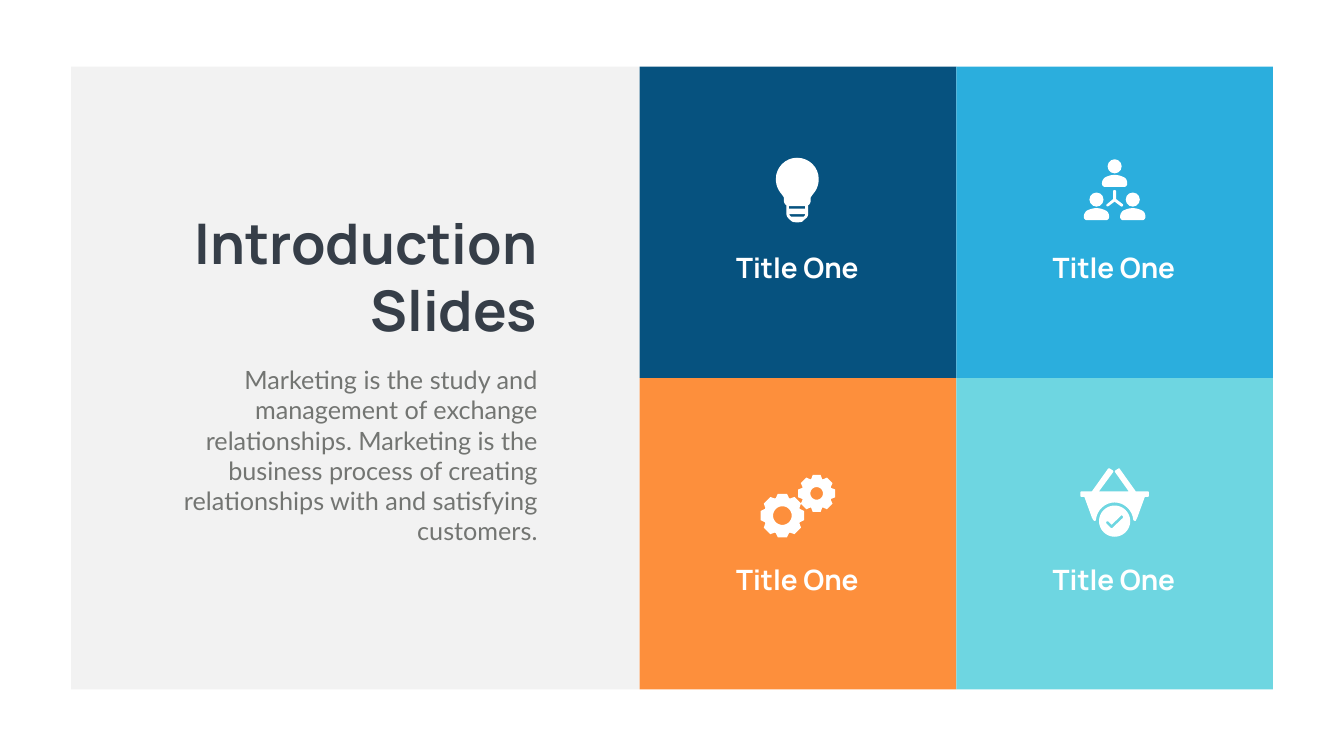
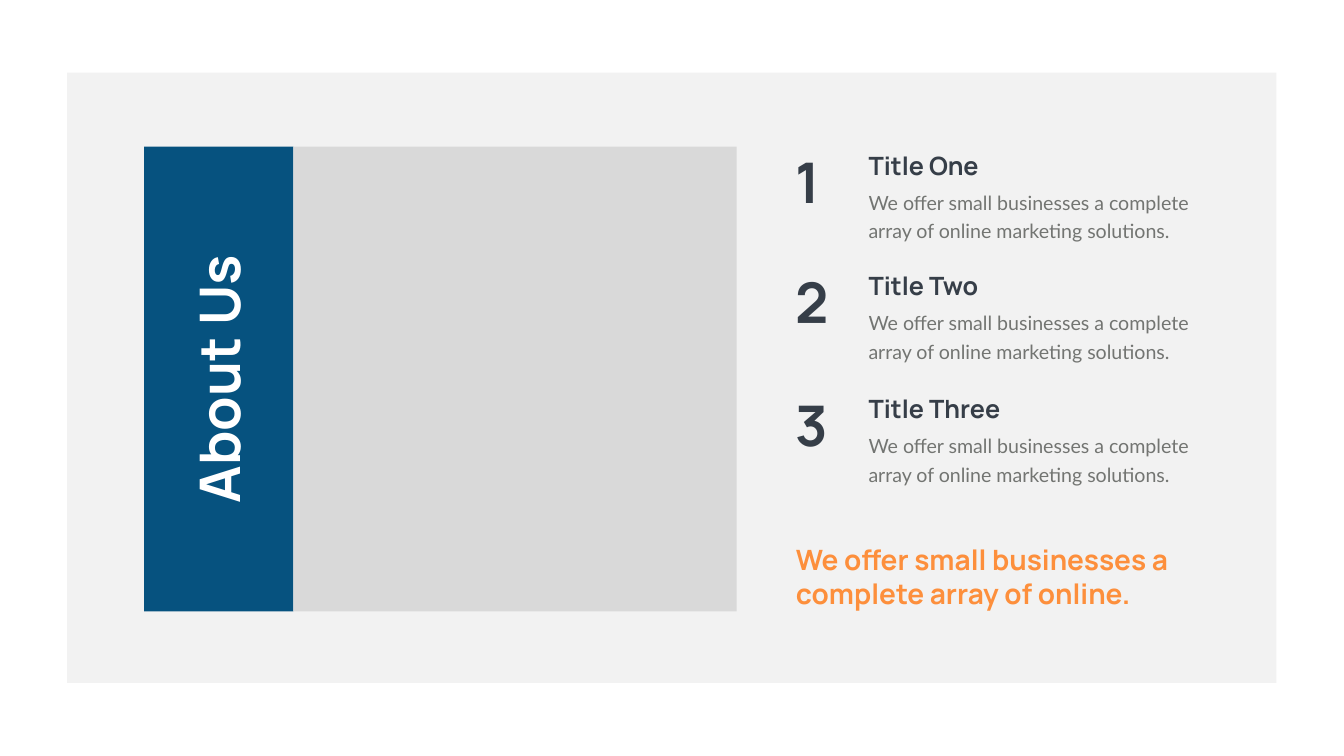
from math import cos, radians, sin

from pptx import Presentation
from pptx.dml.color import RGBColor
from pptx.enum.shapes import MSO_SHAPE
from pptx.enum.text import MSO_AUTO_SIZE, PP_ALIGN
from pptx.util import Pt

PX = 9144  # one px is a hundredth of an inch
WHITE = RGBColor(0xFF, 0xFF, 0xFF)
PALE = RGBColor(0xF2, 0xF2, 0xF2)
GREY = RGBColor(0xD9, 0xD9, 0xD9)
NAVY = RGBColor(0x06, 0x52, 0x7F)
BLUE = RGBColor(0x2B, 0xAE, 0xDD)
AQUA = RGBColor(0x6E, 0xD6, 0xE1)
ORANGE = RGBColor(0xFD, 0x8F, 0x3C)
DARK = RGBColor(0x36, 0x3E, 0x48)
MUTED = RGBColor(0x73, 0x75, 0x72)
HEAD, BODY = "Manrope", "Lato"


def box(slide, x, y, w, h, color, kind=MSO_SHAPE.RECTANGLE):
    shape = slide.shapes.add_shape(kind, x * PX, y * PX, w * PX, h * PX)
    shape.shadow.inherit = False
    shape.fill.solid()
    shape.fill.fore_color.rgb = color
    shape.line.fill.background()


def text(slide, x, y, w, h, words, size, color, font=HEAD,
         align=PP_ALIGN.LEFT, pitch=None):
    label = slide.shapes.add_textbox(x * PX, y * PX, w * PX, h * PX)
    frame = label.text_frame
    frame.word_wrap = True
    frame.auto_size = MSO_AUTO_SIZE.SHAPE_TO_FIT_TEXT
    para = frame.paragraphs[0]
    para.alignment = align
    if pitch:
        para.line_spacing = Pt(pitch)
    run = para.add_run()
    run.text = words
    run.font.name = font
    run.font.size = Pt(size)
    run.font.bold = font == HEAD
    run.font.color.rgb = color
    return label


deck = Presentation()
deck.slide_width = 2666 * PX
deck.slide_height = 1500 * PX
blank = deck.slide_layouts[6]

# Slide 1: introduction panel
intro = deck.slides.add_slide(blank)
box(intro, 141, 132, 1128, 1236, PALE)
text(intro, 299, 409, 777, 279, "Introduction Slides", 80, DARK,
     align=PP_ALIGN.RIGHT)
text(intro, 299, 718, 777, 374,
     "Marketing is the study and management of exchange relationships. "
     "Marketing is the business process of creating relationships with and "
     "satisfying customers.", 36, MUTED, BODY, PP_ALIGN.RIGHT)

# Four titled tiles
for i, color in enumerate((NAVY, BLUE, ORANGE, AQUA)):
    x = 1269 + i % 2 * 628
    y = 132 + i // 2 * 618
    box(intro, x, y, 628, 618, color)
    text(intro, x + 82, y + 361, 461, 77, "Title One", 40, WHITE,
         align=PP_ALIGN.CENTER)

# Icon outlines: pairs are corners, sixes are curves
bulb = [
    [(1581, 313), (1605, 313, 1624, 332, 1624, 355),
     (1624, 371, 1617, 380, 1612, 386), (1610, 389, 1608, 391, 1608, 393),
     (1608, 398), (1608, 402, 1606, 406, 1603, 407), (1603, 424),
     (1603, 427, 1602, 430, 1600, 432), (1594, 437),
     (1592, 440, 1589, 441, 1585, 441), (1578, 441),
     (1574, 441, 1571, 440, 1568, 437), (1563, 432),
     (1561, 430, 1560, 427, 1560, 424), (1560, 407),
     (1557, 406, 1555, 402, 1555, 398), (1555, 393),
     (1555, 391, 1553, 389, 1551, 386), (1546, 380, 1539, 371, 1539, 355),
     (1539, 332, 1558, 313, 1581, 313)],
    [(1565, 409), (1565, 414), (1597, 414), (1597, 409)],
    [(1566, 425), (1566, 426, 1566, 427, 1567, 428), (1569, 430),
     (1594, 430), (1596, 428), (1597, 427, 1597, 426, 1597, 425)],
]
basket = [
    [(2276, 975), (2253, 975), (2221, 930), (2221, 929, 2219, 929, 2218, 930),
     (2213, 933), (2212, 934, 2211, 936, 2212, 937), (2239, 975),
     (2180, 975), (2208, 937), (2209, 936, 2208, 934, 2207, 933),
     (2202, 930), (2201, 929, 2199, 929, 2198, 930), (2166, 975),
     (2146, 975), (2144, 975, 2143, 976, 2143, 977), (2143, 983),
     (2143, 985, 2144, 986, 2146, 986), (2151, 986), (2166, 1027),
     (2167, 1029, 2168, 1031, 2170, 1033),
     (2170, 1034, 2172, 1034, 2173, 1033),
     (2174, 1033, 2174, 1032, 2174, 1031),
     (2176, 1012, 2192, 997, 2211, 997), (2230, 997, 2246, 1012, 2248, 1031),
     (2248, 1032, 2249, 1033, 2250, 1033),
     (2251, 1034, 2252, 1034, 2253, 1033),
     (2254, 1031, 2255, 1029, 2256, 1027), (2271, 986), (2276, 986),
     (2278, 986, 2279, 985, 2279, 983), (2279, 977),
     (2279, 976, 2278, 975, 2276, 975)],
]
badge = [
    [(2211, 1003), (2194, 1003, 2180, 1017, 2180, 1034),
     (2180, 1051, 2194, 1065, 2211, 1065),
     (2228, 1065, 2242, 1051, 2242, 1034),
     (2242, 1017, 2228, 1003, 2211, 1003)],
    [(2227, 1028), (2207, 1047), (2206, 1048, 2204, 1048, 2203, 1047),
     (2195, 1039), (2194, 1038, 2194, 1036, 2195, 1035),
     (2196, 1034, 2198, 1034, 2199, 1035), (2205, 1041), (2223, 1024),
     (2224, 1022, 2226, 1022, 2227, 1024),
     (2228, 1025, 2228, 1026, 2227, 1028)],
]
links = [
    [(2225, 410), (2227, 410, 2229, 407, 2227, 405), (2214, 395),
     (2214, 380), (2214, 376, 2208, 376, 2208, 380), (2208, 395),
     (2196, 405), (2193, 407, 2195, 411, 2199, 409), (2211, 400),
     (2223, 409)],
]
icons = [bulb, basket, badge, links]

# Team: three heads with the same shoulders
torso = [(-19, 55), (19, 55), (22, 55, 25, 52, 25, 49), (25, 47),
         (25, 43, 23, 38, 19, 36), (15, 34, 8, 31, 0, 31),
         (-8, 31, -15, 34, -19, 36), (-22, 38, -25, 43, -25, 47),
         (-25, 49), (-25, 52, -22, 55, -19, 55)]
for spot in ((2211, 316), (2175, 382), (2247, 382)):
    box(intro, spot[0] - 14, spot[1], 28, 28, WHITE, MSO_SHAPE.OVAL)
    icons.append([[tuple(v + spot[i % 2] for i, v in enumerate(step))
                   for step in torso]])

# Gears: eight teeth around a round hole
for cx, cy, tip, root, hole in ((1552, 1023, 44, 37, 18.5),
                                (1620, 979, 37.5, 30.5, 12.5)):
    teeth = [(cx + r * cos(radians(turn + a)), cy + r * sin(radians(turn + a)))
             for turn in range(0, 360, 45)
             for a, r in ((-21, root), (-12, tip), (12, tip), (21, root))]
    ring = [(cx + hole * cos(radians(a)), cy + hole * sin(radians(a)))
            for a in range(0, 360, 10)]
    icons.append([teeth, ring])

# Draw every icon outline in white
for icon in icons:
    pen = None
    for steps in icon:
        dots = [steps[0]]
        for step in steps[1:]:
            if len(step) == 2:
                dots.append(step)
                continue
            ends = dots[-1] + step
            for k in range(1, 9):
                t = k / 8
                mix = ((1 - t) ** 3, 3 * t * (1 - t) ** 2,
                       3 * t * t * (1 - t), t ** 3)
                dots.append(tuple(sum(m * v for m, v in zip(mix, ends[n::2]))
                                  for n in (0, 1)))
        dots = [(round(x * PX), round(y * PX)) for x, y in dots]
        if pen is None:
            pen = intro.shapes.build_freeform(*dots[0], scale=1.0)
        else:
            pen.move_to(*dots[0])
        pen.add_line_segments(dots[1:], close=True)
    shape = pen.convert_to_shape()
    shape.shadow.inherit = False
    shape.fill.solid()
    shape.fill.fore_color.rgb = WHITE
    shape.line.fill.background()

# Slide 2: panel, side band and image area
about = deck.slides.add_slide(blank)
box(about, 133, 144, 2399, 1211, PALE)
box(about, 286, 291, 296, 922, NAVY)
box(about, 582, 291, 879, 922, GREY)
title = text(about, 165, 680, 537, 145, "About Us", 80, WHITE,
             align=PP_ALIGN.CENTER)
title.text_frame.word_wrap = False
title.rotation = 270

# Numbered points
points = ((293, "Title One"), (532, "Title Two"), (776, "Title Three"))
for num, (y, name) in enumerate(points, 1):
    text(about, 1569, y - 6, 140, 145, str(num), 80, DARK)
    text(about, 1713, y, 461, 71, name, 36, DARK)
    text(about, 1713, y + 70, 664, 119,
         "We offer small businesses a complete array of online marketing "
         "solutions.", 28, MUTED, BODY, pitch=40.8)

# Closing line
text(about, 1569, 1072, 879, 145,
     "We offer small businesses a complete array of online.", 40, ORANGE)

deck.save("out.pptx")
